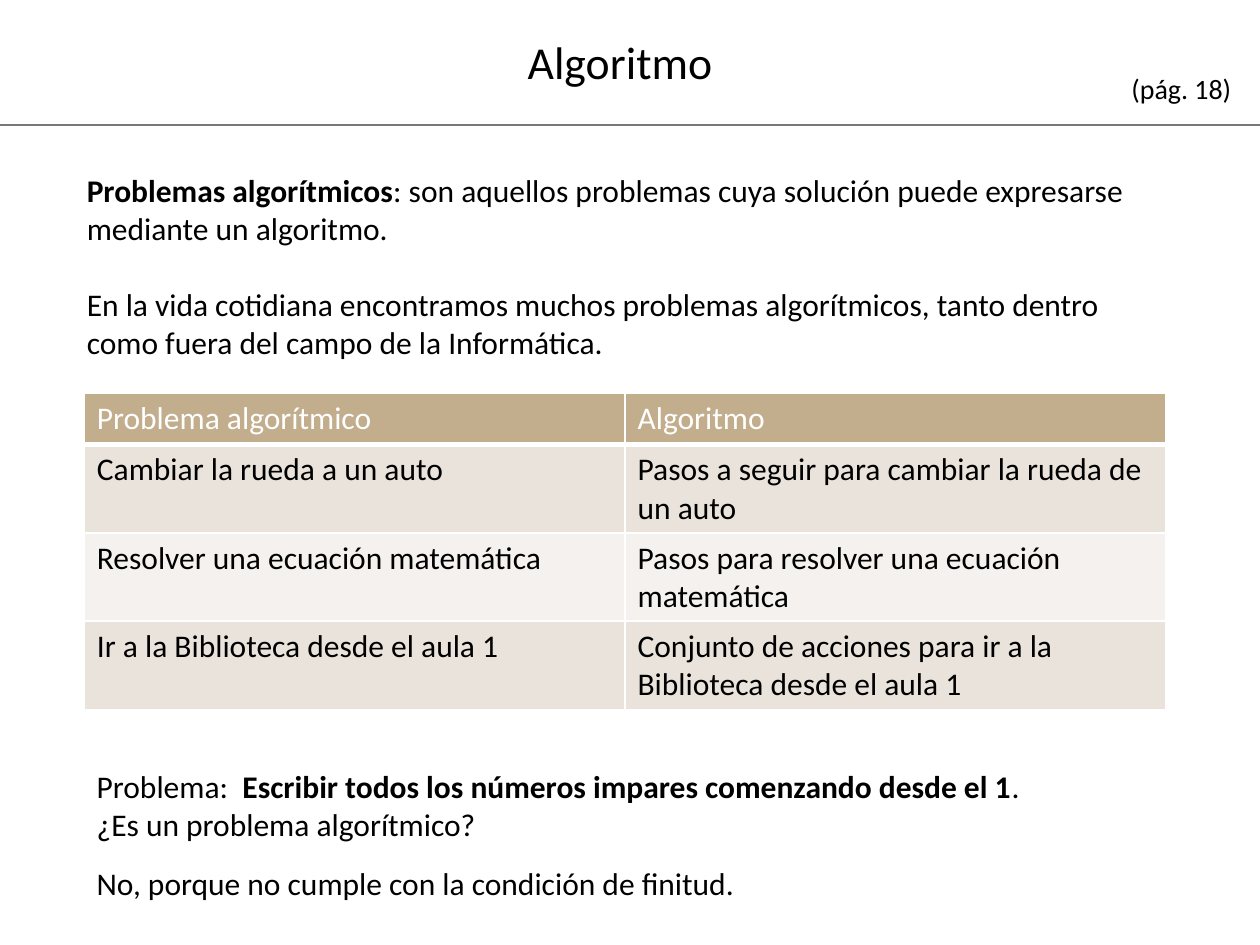
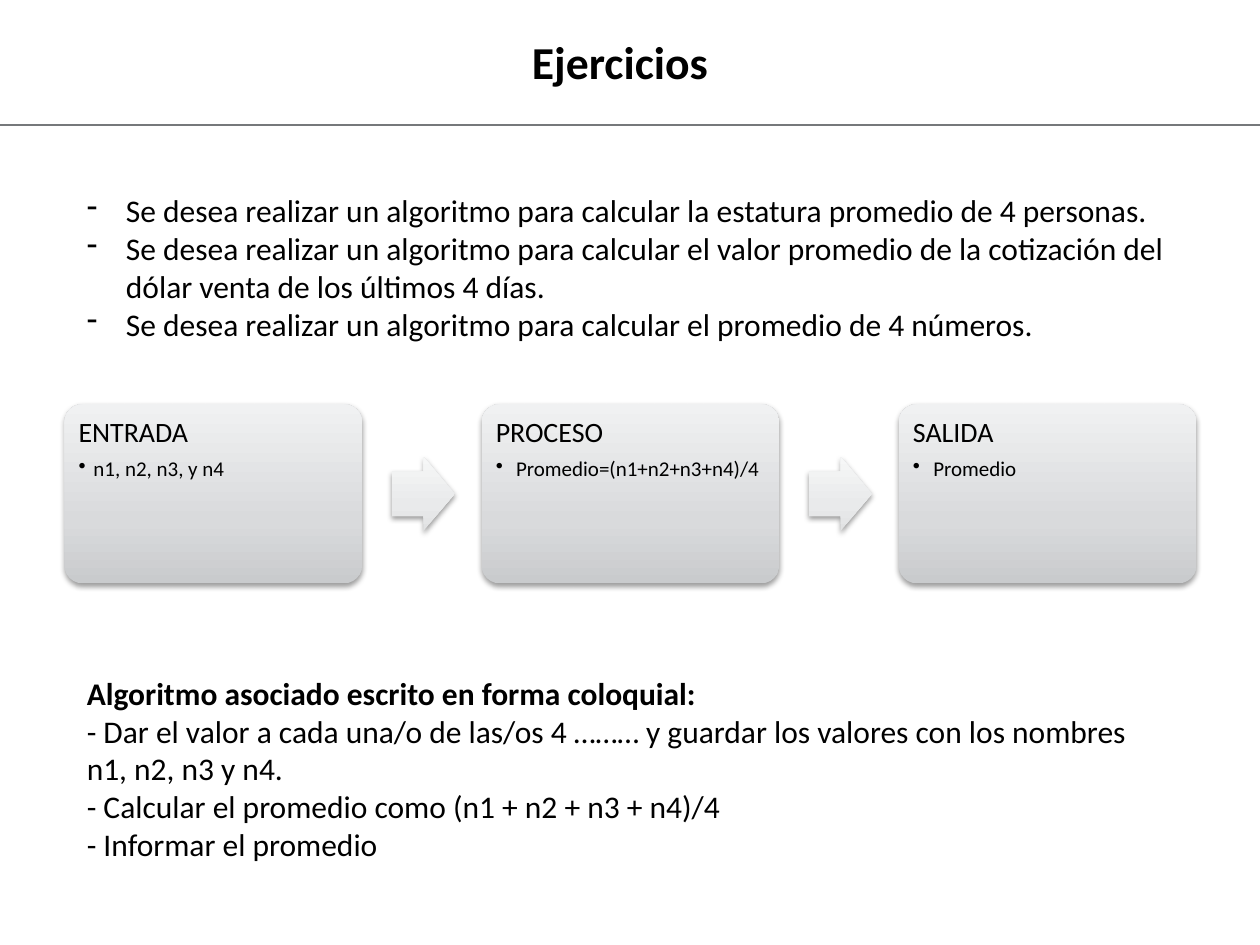
from copy import deepcopy

from pptx import Presentation
from pptx.dml.color import RGBColor
from pptx.enum.shapes import MSO_CONNECTOR, MSO_SHAPE
from pptx.enum.text import MSO_ANCHOR, PP_ALIGN
from pptx.oxml import parse_xml
from pptx.oxml.ns import nsdecls, qn
from pptx.oxml.xmlchemy import OxmlElement
from pptx.util import Cm, Pt

# Content: a paragraph is a list of (text, bold) runs
DEFINITION = [
    [("Problemas algorítmicos", True),
     (": son aquellos problemas cuya solución puede expresarse mediante un algoritmo.", False)],
    [("En la vida cotidiana encontramos muchos problemas algorítmicos, tanto dentro "
      "como fuera del campo de la Informática.", False)],
]
EXAMPLES = [
    ("Problema algorítmico", "Algoritmo"),
    ("Cambiar la rueda a un auto", "Pasos a seguir para cambiar la rueda de un auto"),
    ("Resolver una ecuación matemática", "Pasos para resolver una ecuación matemática"),
    ("Ir a la Biblioteca desde el aula 1",
     "Conjunto de acciones para ir a la Biblioteca desde el aula 1"),
]
QUESTION = [
    [("Problema:  ", False),
     ("Escribir todos los números impares comenzando desde el 1", True), (".", False)],
    [("¿Es un problema algorítmico?", False)],
]
ANSWER = [[("No, porque no cumple con la condición de finitud.", False)]]
PAGE_REFERENCE = [[("(pág. 18)", False)]]

EXERCISES = [[(text, False)] for text in (
    "Se desea realizar un algoritmo para calcular la estatura promedio de 4 personas.",
    "Se desea realizar un algoritmo para calcular el valor promedio de la cotización del "
    "dólar venta de los últimos 4 días.",
    "Se desea realizar un algoritmo para calcular el promedio de 4 números.",
)]
STAGES = [  # heading, detail, indent of the detail in cm
    ("ENTRADA", "n1, n2, n3, y n4", 0.3),
    ("PROCESO", "Promedio=(n1+n2+n3+n4)/4", 0.41),
    ("SALIDA", "Promedio", 0.41),
]
COLLOQUIAL = [
    [("Algoritmo asociado escrito en forma coloquial:", True)],
    [("- Dar el valor a cada una/o de las/os 4 ……… y guardar los valores con los nombres "
      "n1, n2, n3 y n4.", False)],
    [("- Calcular el promedio como (n1 + n2 + n3 + n4)/4", False)],
    [("- Informar el promedio", False)],
]

# Shared style
FONT = "Calibri"
BLACK, WHITE, RULE = "000000", "FFFFFF", "76787B"
HEADER_FILL, ROW_FILLS = "C2AD8D", ("E9E3DB", "F4F1EE")
STAGE_GRADIENT = ((0, "C9CBCD"), (0.35, "D9DADC"), (1, "F0F1F2"))
ARROW_GRADIENT = ((0, "E1E2E3"), (0.35, "E9EAEB"), (1, "F6F7F7"))
SLIDE_W, SLIDE_H = 25.4, 19.05
TEXT_LEFT, TABLE_LEFT, TEXT_W = 1.5, 1.7, 22.4


def rgb(color):
    return RGBColor.from_string(color)


def add_run(paragraph, text, size=18, bold=False, color=BLACK):
    run = paragraph.add_run()
    run.text = text
    run.font.name = FONT
    run.font.size = Pt(size)
    run.font.bold = bold
    run.font.color.rgb = rgb(color)


def add_bullet(paragraph, char, indent):
    properties = paragraph._p.get_or_add_pPr()
    properties.set("marL", str(Cm(indent)))
    properties.set("indent", str(-Cm(indent)))
    bullet = OxmlElement("a:buChar")
    bullet.set("char", char)
    properties.append(bullet)


def new_slide(prs, title, bold=False):
    """Slide with the centred title and the rule beneath it."""
    slide = prs.slides.add_slide(prs.slide_layouts[5])
    heading = slide.shapes.title
    heading.left, heading.top, heading.width, heading.height = map(Cm, (1.7, 0.53, 21.6, 1.4))
    heading.text_frame.vertical_anchor = MSO_ANCHOR.MIDDLE
    heading.text_frame.paragraphs[0].alignment = PP_ALIGN.CENTER
    add_run(heading.text_frame.paragraphs[0], title, 26.1, bold)

    rule = slide.shapes.add_connector(
        MSO_CONNECTOR.STRAIGHT, 0, Cm(2.52), Cm(SLIDE_W), Cm(2.52))
    rule.line.color.rgb = rgb(RULE)
    rule.line.width = Pt(0.75)
    rule._element.spPr.append(OxmlElement("a:effectLst"))
    return slide


def add_text(slide, paragraphs, left, top, width, height,
             size=18, wrap=True, gap=0, bullet=None):
    frame = slide.shapes.add_textbox(*map(Cm, (left, top, width, height))).text_frame
    frame.word_wrap = wrap
    for i, runs in enumerate(paragraphs):
        paragraph = frame.add_paragraph() if i else frame.paragraphs[0]
        if i and gap:
            paragraph.space_before = Pt(gap)
        if bullet:
            add_bullet(paragraph, bullet, 0.79)
        for text, bold in runs:
            add_run(paragraph, text, size, bold)


def set_borders(cell, bottom):
    properties = cell._tc.get_or_add_tcPr()
    for side, width in (("L", 1), ("R", 1), ("T", 1), ("B", bottom)):
        properties.append(parse_xml(
            f'<a:ln{side} {nsdecls("a")} w="{Pt(width)}"><a:solidFill>'
            f'<a:srgbClr val="{WHITE}"/></a:solidFill></a:ln{side}>'))


def add_examples(slide):
    heights = [1.03] + [1.78] * (len(EXAMPLES) - 1)
    table = slide.shapes.add_table(
        len(EXAMPLES), 2, Cm(TABLE_LEFT), Cm(7.93), Cm(21.8), Cm(sum(heights))).table
    for r, (texts, height) in enumerate(zip(EXAMPLES, heights)):
        table.rows[r].height = Cm(height)
        for c, text in enumerate(texts):
            cell = table.cell(r, c)
            set_borders(cell, 1 if r else 3)
            cell.fill.solid()
            cell.fill.fore_color.rgb = rgb(ROW_FILLS[(r - 1) % 2] if r else HEADER_FILL)
            add_run(cell.text_frame.paragraphs[0], text, color=BLACK if r else WHITE)


def add_raised_shape(slide, kind, left, top, width, height, gradient, adjustments):
    """Preset shape with an upward gradient and a soft shadow."""
    shape = slide.shapes.add_shape(kind, *map(Cm, (left, top, width, height)))
    for i, value in enumerate(adjustments):
        shape.adjustments[i] = value
    shape.line.fill.background()
    shape.fill.gradient()
    shape.fill.gradient_angle = 90
    properties = shape._element.spPr
    stops = properties.find(".//" + qn("a:gsLst"))
    stops.insert(1, deepcopy(stops[0]))
    for stop, (position, color) in zip(shape.fill.gradient_stops, gradient):
        stop.position = position
        stop.color.rgb = rgb(color)
    shape.shadow.inherit = False
    properties.find(qn("a:effectLst")).append(parse_xml(
        f'<a:outerShdw {nsdecls("a")} blurRad="{Pt(3.1)}" dist="{Pt(1.6)}" dir="5400000" '
        f'rotWithShape="0"><a:srgbClr val="{BLACK}"><a:alpha val="38000"/></a:srgbClr>'
        '</a:outerShdw>'))
    return shape


def add_stages(slide):
    left, top, width, height, pitch = 1.3, 8.15, 6, 3.61, 8.41
    arrow_gap, arrow_w, arrow_h = 0.6, 1.27, 1.5
    for i, (heading, detail, indent) in enumerate(STAGES):
        x = left + i * pitch
        stage = add_raised_shape(slide, MSO_SHAPE.ROUNDED_RECTANGLE, x, top, width, height,
                                 STAGE_GRADIENT, [0.1])
        frame = stage.text_frame
        frame.word_wrap = True
        frame.vertical_anchor = MSO_ANCHOR.TOP
        frame.margin_left = frame.margin_right = Cm(0.18)
        frame.margin_top = frame.margin_bottom = Cm(0.18)
        lines = ((frame.paragraphs[0], heading, 16, 5.6), (frame.add_paragraph(), detail, 12, 1.8))
        for paragraph, text, size, after in lines:
            paragraph.alignment = PP_ALIGN.LEFT
            paragraph.line_spacing = 0.9
            paragraph.space_after = Pt(after)
            add_run(paragraph, text, size)
        add_bullet(frame.paragraphs[1], "•", indent)
        if i < len(STAGES) - 1:
            add_raised_shape(slide, MSO_SHAPE.RIGHT_ARROW, x + width + arrow_gap,
                             top + (height - arrow_h) / 2, arrow_w, arrow_h,
                             ARROW_GRADIENT, [0.6, 0.5])


def main():
    prs = Presentation()
    prs.slide_width, prs.slide_height = Cm(SLIDE_W), Cm(SLIDE_H)

    # Algorithmic problems
    slide = new_slide(prs, "Algoritmo")
    add_text(slide, DEFINITION, TEXT_LEFT, 3.33, TEXT_W, 4.88, gap=22)
    add_text(slide, QUESTION, TABLE_LEFT, 15.34, TEXT_W, 1.8)
    add_text(slide, ANSWER, TABLE_LEFT, 17.3, TEXT_W, 1.02)
    add_examples(slide)
    add_text(slide, PAGE_REFERENCE, 22.56, 1.32, 2.54, 0.94, size=16, wrap=False)

    # Exercises
    slide = new_slide(prs, "Ejercicios", bold=True)
    add_stages(slide)
    add_text(slide, EXERCISES, TEXT_LEFT, 3.73, TEXT_W, 3.33, bullet="-")
    add_text(slide, COLLOQUIAL, TEXT_LEFT, 13.46, TEXT_W, 4.88)

    prs.save("out.pptx")


if __name__ == "__main__":
    main()
